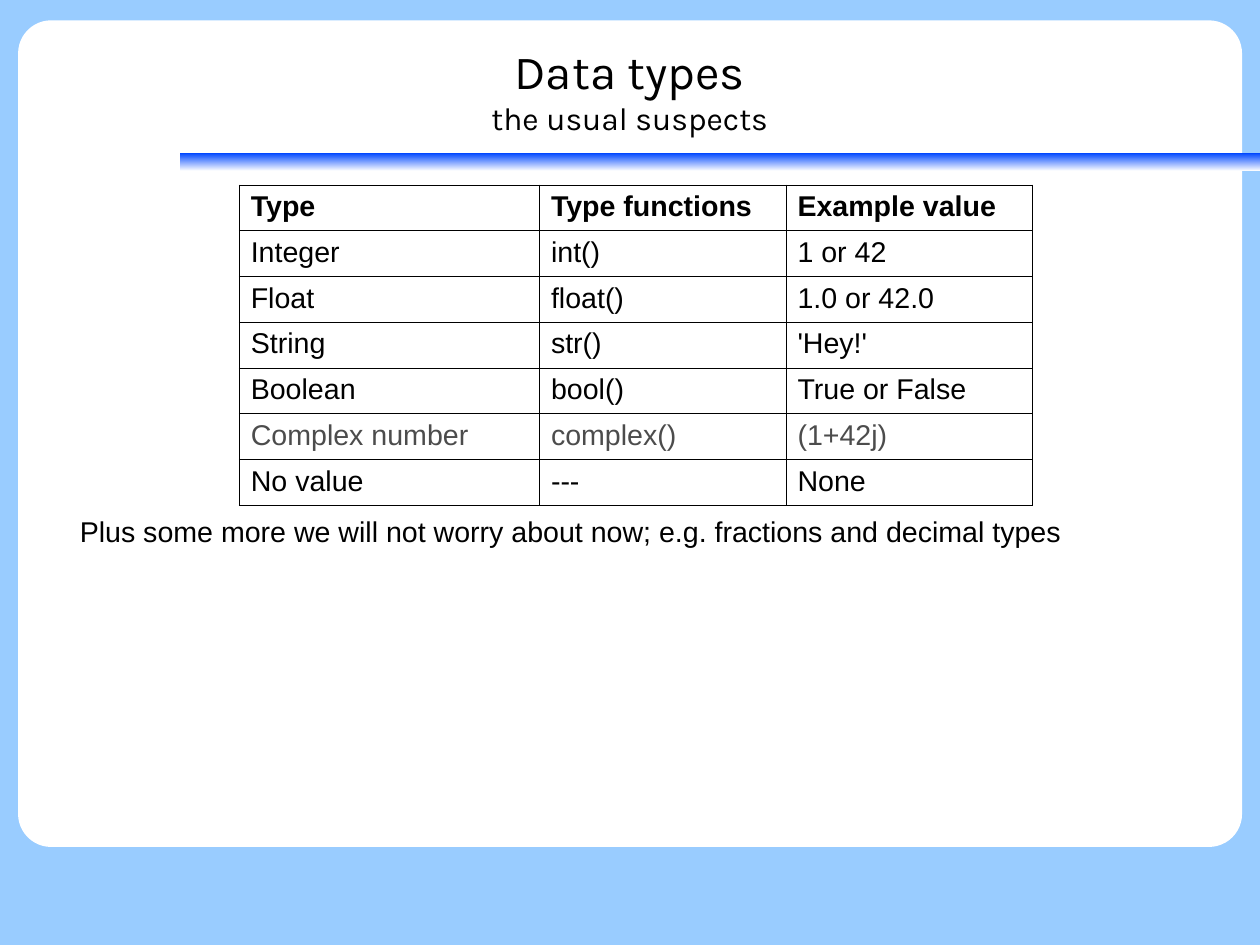
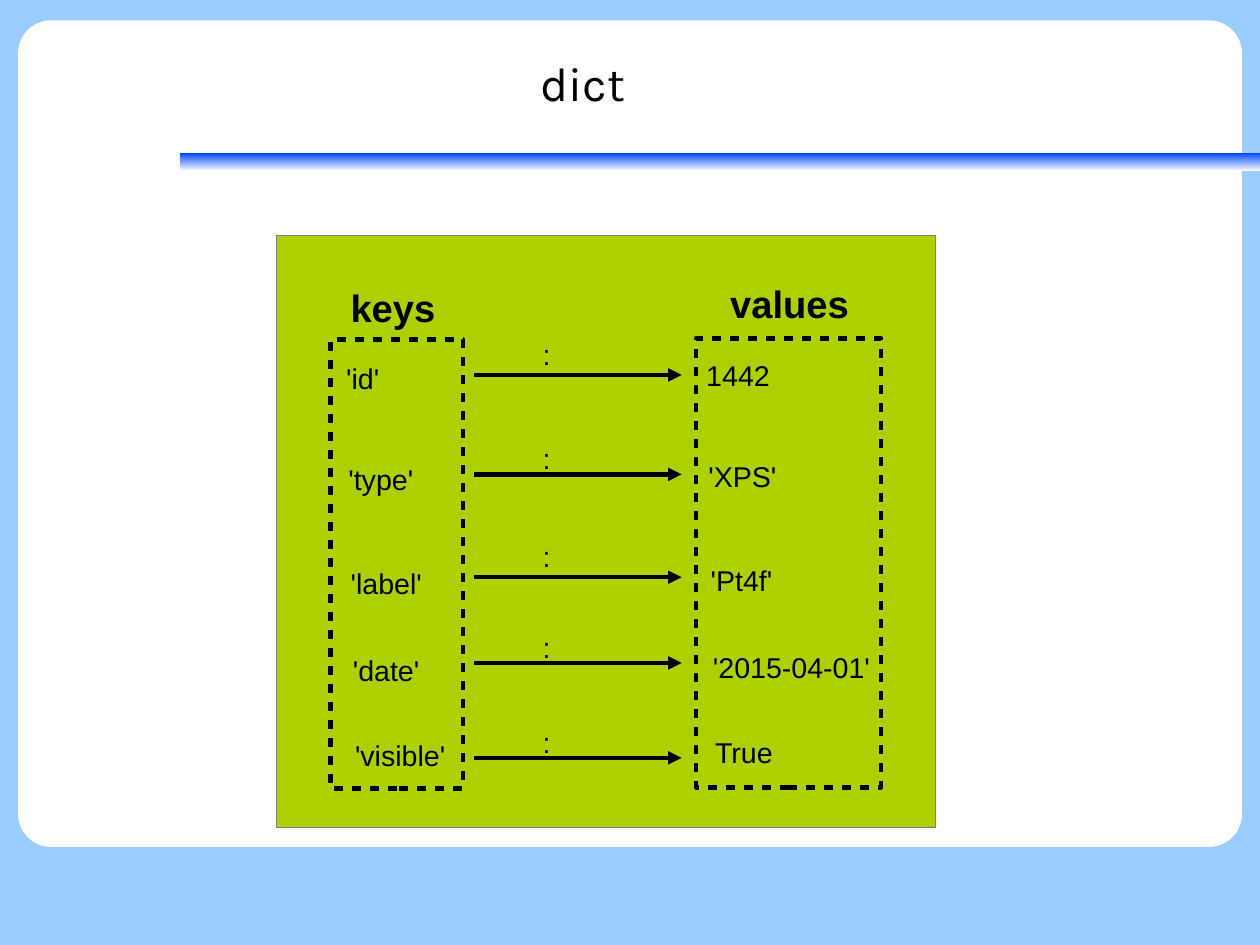
"""Build two slides on Python data types and the dict."""
from lxml.etree import SubElement
from pptx import Presentation
from pptx.dml.color import RGBColor
from pptx.enum.shapes import MSO_CONNECTOR, MSO_SHAPE
from pptx.enum.text import MSO_ANCHOR, MSO_AUTO_SIZE, PP_ALIGN
from pptx.oxml import parse_xml
from pptx.oxml.ns import nsdecls, qn
from pptx.util import Pt

COLORS = {
    "sky": "99CCFF", "white": "FFFFFF", "blue": "0047FF", "black": "000000",
    "muted": "4C4C4C", "green": "AECF00", "gray": "808080",
}
TITLE_FONT, BODY_FONT = "Karla", "Arial"
TITLE_SIZES = (30, 20)
BODY_SIZE, HEADING_SIZE = 18, 24
TEXT_WIDTH, TEXT_HEIGHT = 111, 27.4
STROKE = 2.83

TYPES_TITLE = ("Data types", "the usual suspects")
TYPE_ROWS = [
    ("Type", "Type functions", "Example value"),
    ("Integer", "int()", "1 or 42"),
    ("Float", "float()", "1.0 or 42.0"),
    ("String", "str()", "'Hey!'"),
    ("Boolean", "bool()", "True or False"),
    ("Complex number", "complex()", "(1+42j)"),
    ("No value", "---", "None"),
]
MUTED_ROW = 5
COLUMN_WIDTHS = (189.1, 155.3, 155.3)
ROW_HEIGHT = 28.8
TYPES_NOTE = "Plus some more we will not worry about now; e.g. fractions and decimal types"

DICT_TITLE = ("dict",)
DICT_ITEMS = [
    ("'id'", "1442", TEXT_WIDTH, 223.9, 208.8, 236.2),
    ("'type'", "'XPS'", TEXT_WIDTH, 287.3, 274.3, 298.8),
    ("'label'", "'Pt4f'", TEXT_WIDTH, 352.8, 336.2, 363.6),
    ("'date'", "'2015-04-01'", 148, 407.5, 393.1, 417.6),
    ("'visible'", "True", TEXT_WIDTH, 461.5, 452.9, 477.4),
]
DICT_FRAMES = [
    ("keys", (213.8, 175.7), (208.1, 213.8, 83.5, 283)),
    ("values", (452.9, 172.8), (438.5, 213.1, 116.6, 283)),
]
KEY_LEFT, VALUE_LEFT, COLON_LEFT = 211, 437.8, 334.8
ITEM_INDENT, VALUE_RISE = 1.4, 1.8
ARROW_START, ARROW_END = 298.8, 429.4


def color(name):
    return RGBColor.from_string(COLORS[name])


def points(*lengths):
    return [Pt(length) for length in lengths]


def style_font(font, name, size, color_name="black", bold=False):
    font.name, font.size, font.bold = name, Pt(size), bold
    font.color.rgb = color(color_name)


def add_plain_shape(slide, kind, box, fill=None):
    shape = slide.shapes.add_shape(kind, *points(*box))
    shape.shadow.inherit = False
    shape.line.fill.background()
    if fill:
        shape.fill.solid()
        shape.fill.fore_color.rgb = color(fill)
    else:
        shape.fill.background()
    return shape


def add_text(slide, text, left, top, width=TEXT_WIDTH, height=TEXT_HEIGHT,
             size=BODY_SIZE, bold=False):
    text_frame = slide.shapes.add_textbox(*points(left, top, width, height)).text_frame
    text_frame.word_wrap = True
    text_frame.text = text
    style_font(text_frame.paragraphs[0].runs[0].font, BODY_FONT, size, bold=bold)


def add_title(slide, lines, left, top):
    title = slide.shapes.title
    title.left, title.top, title.width, title.height = points(left, top, 714.3, 99.4)
    text_frame = title.text_frame
    text_frame.margin_left = text_frame.margin_right = 0
    text_frame.margin_top = text_frame.margin_bottom = 0
    text_frame.vertical_anchor = MSO_ANCHOR.MIDDLE
    text_frame.auto_size = MSO_AUTO_SIZE.NONE
    text_frame.text = "\v".join(lines)
    paragraph = text_frame.paragraphs[0]
    paragraph.alignment = PP_ALIGN.CENTER
    for run, size in zip(paragraph.runs, TITLE_SIZES):
        style_font(run.font, TITLE_FONT, size)


def decorate_layout(layout, slide):
    layout.background.fill.solid()
    layout.background.fill.fore_color.rgb = color("sky")
    panel = add_plain_shape(
        slide, MSO_SHAPE.ROUNDED_RECTANGLE, (11.4, 12.8, 771, 520.7), "white")
    panel.adjustments[0] = 0.04
    band = add_plain_shape(slide, MSO_SHAPE.RECTANGLE, (113.4, 96.4, 680.3, 11.4))
    band.fill.gradient()
    band.fill.gradient_angle = 90
    for stop, name in zip(band.fill.gradient_stops, ("white", "blue")):
        stop.color.rgb = color(name)
    for index, shape in enumerate((panel, band), start=2):
        layout.shapes.element.insert(index, shape.element)


def add_borders(cell):
    properties = cell._tc.get_or_add_tcPr()
    for index, side in enumerate("LRTB"):
        properties.insert(index, parse_xml(
            f'<a:ln{side} {nsdecls("a")} w="{Pt(0.57)}"><a:solidFill>'
            f'<a:srgbClr val="{COLORS["black"]}"/></a:solidFill></a:ln{side}>'))


def add_types_table(slide):
    table = slide.shapes.add_table(
        len(TYPE_ROWS), len(COLUMN_WIDTHS),
        *points(150.8, 116.6, sum(COLUMN_WIDTHS), ROW_HEIGHT * len(TYPE_ROWS))).table
    table.first_row = table.horz_banding = False
    for column, width in zip(table.columns, COLUMN_WIDTHS):
        column.width = Pt(width)
    for row_index, texts in enumerate(TYPE_ROWS):
        table.rows[row_index].height = Pt(ROW_HEIGHT)
        text_color = "muted" if row_index == MUTED_ROW else "black"
        for cell, text in zip(table.rows[row_index].cells, texts):
            cell.text_frame.text = text
            style_font(cell.text_frame.paragraphs[0].runs[0].font, BODY_FONT,
                       BODY_SIZE, text_color, row_index == 0)
            cell.fill.background()
            add_borders(cell)


def add_arrow(slide, y):
    arrow = slide.shapes.add_connector(
        MSO_CONNECTOR.STRAIGHT, *points(ARROW_START, y, ARROW_END, y))
    arrow.line.color.rgb = color("black")
    arrow.line.width = Pt(STROKE)
    properties = arrow.element.spPr
    SubElement(properties.find(qn("a:ln")), qn("a:tailEnd"), type="triangle")
    SubElement(properties, qn("a:effectLst"))


def add_dashed_frame(slide, box):
    frame = add_plain_shape(slide, MSO_SHAPE.RECTANGLE, box)
    frame.line.color.rgb = color("black")
    frame.line.width = Pt(STROKE)
    dashes = SubElement(frame.element.spPr.find(qn("a:ln")), qn("a:custDash"))
    SubElement(dashes, qn("a:ds"), d="200000", sp="200000")


def add_dict_diagram(slide):
    board = add_plain_shape(
        slide, MSO_SHAPE.RECTANGLE, (174.2, 148.3, 415.4, 373), "green")
    board.line.color.rgb = color("gray")
    board.line.width = Pt(0)
    for index, (key, value, value_width, top, colon_top, arrow_y) in enumerate(DICT_ITEMS):
        indent = index * ITEM_INDENT
        add_text(slide, key, KEY_LEFT + indent, top)
        add_text(slide, value, VALUE_LEFT + indent, top - VALUE_RISE, value_width)
        add_arrow(slide, arrow_y)
        add_text(slide, ":", COLON_LEFT, colon_top)
    for heading, (left, top), box in DICT_FRAMES:
        add_dashed_frame(slide, box)
        add_text(slide, heading, left, top, height=33.8, size=HEADING_SIZE, bold=True)


def main():
    presentation = Presentation()
    presentation.slide_width, presentation.slide_height = points(793.7, 595.28)
    layout = presentation.slide_layouts.get_by_name("Title Only")

    types_slide = presentation.slides.add_slide(layout)
    decorate_layout(layout, types_slide)
    add_title(types_slide, TYPES_TITLE, 39.6, 6.5)
    add_types_table(types_slide)
    add_text(types_slide, TYPES_NOTE, 43.2, 320.4, 701.3)

    dict_slide = presentation.slides.add_slide(layout)
    add_title(dict_slide, DICT_TITLE, 10.1, 2.2)
    add_dict_diagram(dict_slide)

    presentation.save("out.pptx")


if __name__ == "__main__":
    main()
